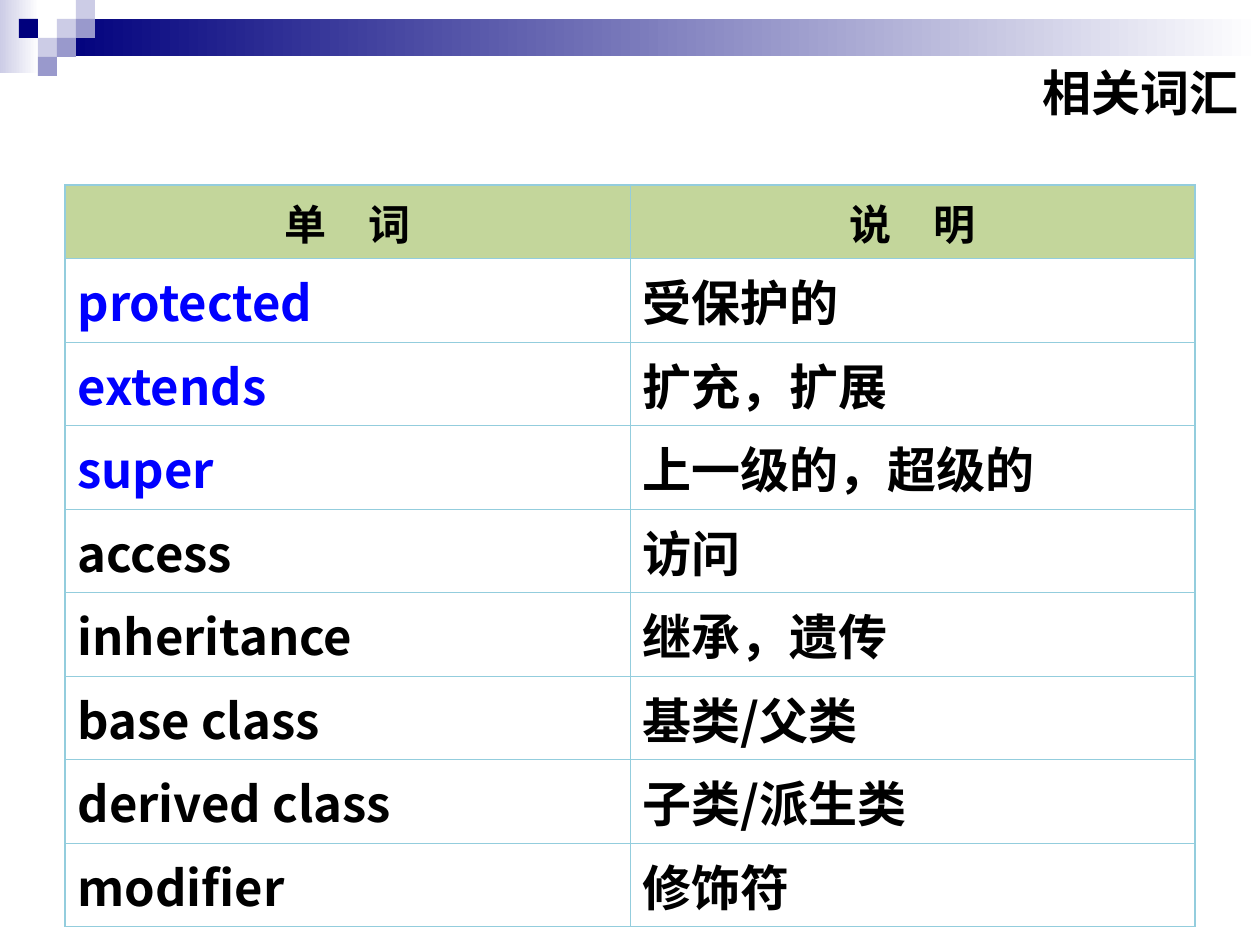
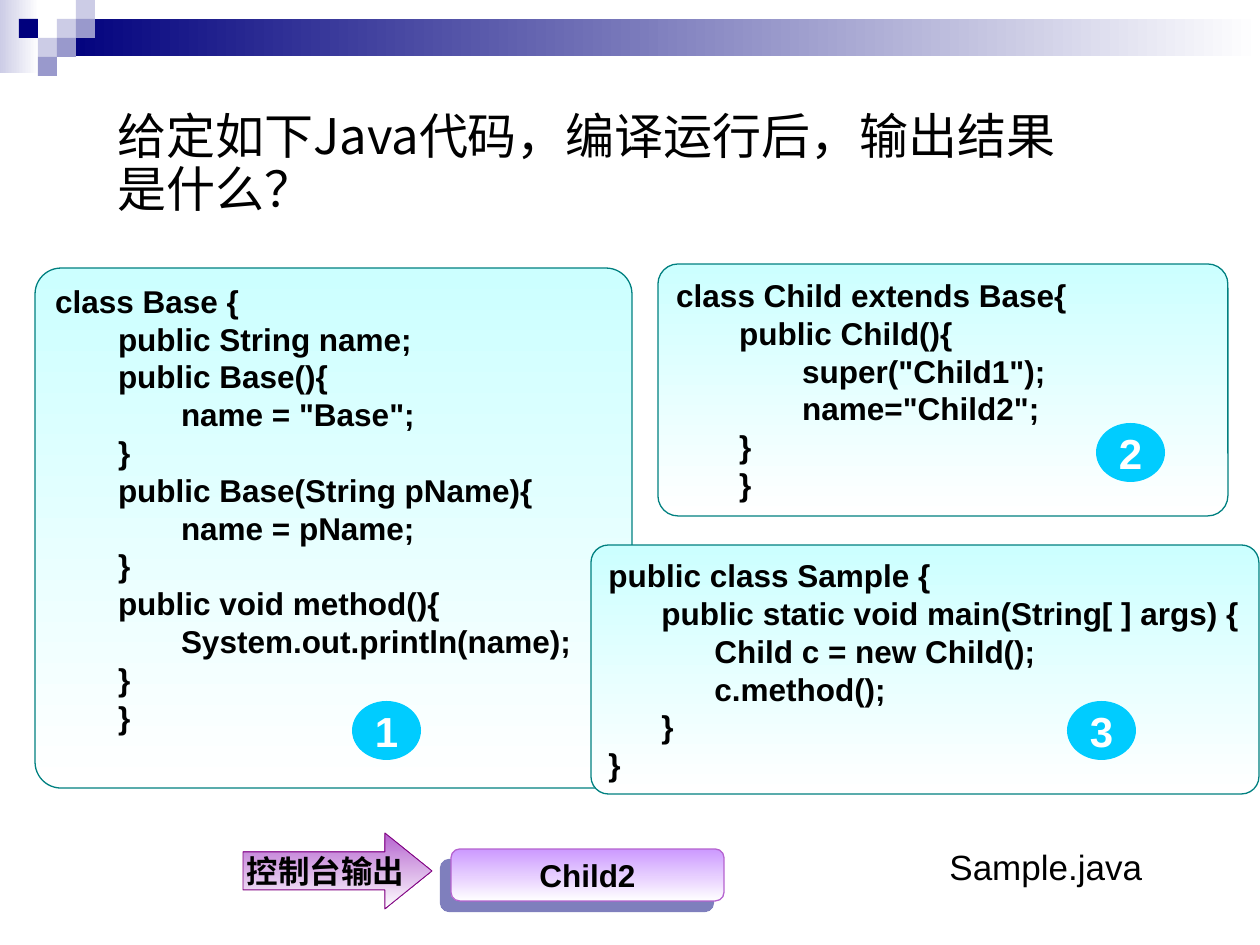
import lxml.etree
import pptx
import pptx.dml.color
import pptx.enum.shapes
import pptx.enum.text
import pptx.oxml.ns
import pptx.util

SCALE = 914400 / 126
SHAPE = pptx.enum.shapes.MSO_SHAPE
ANCHOR = pptx.enum.text.MSO_ANCHOR
ALIGN = pptx.enum.text.PP_ALIGN
LATIN = "Arial"
CHINESE = "Noto Sans CJK SC"
COLORS = {
    "navy": "00007D", "lilac": "9999CC", "mist": "CCCCE6", "white": "FFFFFF",
    "black": "000000", "keyword": "0000FF", "header": "C3D69B", "grid": "93CDDD",
    "code": "CCFFFF", "code_edge": "008080", "badge": "00CCFF",
    "output": "CC99FF", "orchid": "B563CF", "arrow_edge": "800080",
}

VOCABULARY = [
    ("单　词", "说　明"),
    ("protected", "受保护的"),
    ("extends", "扩充，扩展"),
    ("super", "上一级的，超级的"),
    ("access", "访问"),
    ("inheritance", "继承，遗传"),
    ("base class", "基类/父类"),
    ("derived class", "子类/派生类"),
    ("modifier", "修饰符"),
]
KEYWORDS = {"protected", "extends", "super"}

BASE_CODE = [
    (0, "class Base {"),
    (1, "public String name;"),
    (1, "public Base(){"),
    (2, 'name = "Base";'),
    (1, "}"),
    (1, "public Base(String pName){"),
    (2, "name = pName;"),
    (1, "}"),
    (1, "public void method(){"),
    (2, "System.out.println(name);"),
    (1, "}"),
    (1, "}"),
]
CHILD_CODE = [
    (0, "class Child extends Base{"),
    (1, "public Child(){"),
    (2, 'super("Child1");'),
    (2, 'name="Child2";'),
    (1, "}"),
    (1, "}"),
]
SAMPLE_CODE = [
    (0, "public class Sample {"),
    (1, "public static void main(String[ ] args) {"),
    (2, "Child c = new Child();"),
    (2, "c.method();"),
    (1, "}"),
    (0, "}"),
]


def px(length):
    """Turn px into EMU."""
    return pptx.util.Emu(round(length * SCALE))


def rgb(color):
    """Look up a named colour."""
    return pptx.dml.color.RGBColor.from_string(COLORS[color])


def add_xml(parent, tag, **attributes):
    """Append a drawing element to its parent."""
    attributes = {name: str(value) for name, value in attributes.items()}
    return lxml.etree.SubElement(parent, pptx.oxml.ns.qn(tag), attributes)


def style(paragraph, size, color="black", bold=True, font=LATIN, align=ALIGN.LEFT):
    """Format one paragraph, with the Chinese font for Chinese characters."""
    paragraph.alignment = align
    paragraph.font.size = pptx.util.Pt(size)
    paragraph.font.bold = bold
    paragraph.font.name = font
    paragraph.font.color.rgb = rgb(color)
    defaults = paragraph._p.pPr.find(pptx.oxml.ns.qn("a:defRPr"))
    add_xml(defaults, "a:ea", typeface=CHINESE)


def place(shape, box):
    """Move a placeholder into its box."""
    shape.left, shape.top, shape.width, shape.height = map(px, box)


def add_block(slide, kind, box, fill, fade_angle=None, edge=None, edge_width=0.75):
    """Add a preset shape, plain or fading to white."""
    block = slide.shapes.add_shape(kind, *map(px, box))
    block.shadow.inherit = False
    if fade_angle is None:
        block.fill.solid()
        block.fill.fore_color.rgb = rgb(fill)
    else:
        block.fill.gradient()
        block.fill.gradient_angle = fade_angle
        for stop, color in zip(block.fill.gradient_stops, (fill, "white")):
            stop.color.rgb = rgb(color)
    if edge:
        block.line.color.rgb = rgb(edge)
        block.line.width = pptx.util.Pt(edge_width)
    else:
        block.line.fill.background()
    return block


def label(shape, text, size, color="black", wrap=False):
    """Centre a bold label in a shape."""
    frame = shape.text_frame
    frame.word_wrap = wrap
    frame.vertical_anchor = ANCHOR.MIDDLE
    frame.text = text
    style(frame.paragraphs[0], size, color, align=ALIGN.CENTER)


def add_band(slide):
    """Draw the fading band and the mosaic of squares at the top."""
    add_block(slide, SHAPE.RECTANGLE, (0, 0, 39, 73), "mist", 0)
    add_block(slide, SHAPE.RECTANGLE, (57, 19, 1203, 37), "navy", 0)
    squares = [(3, 1, "mist"), (4, 0, "mist"), (4, 1, "lilac"), (2, 2, "mist"),
               (1, 1, "navy"), (3, 2, "lilac"), (2, 3, "lilac")]
    for column, row, color in squares:
        add_block(slide, SHAPE.RECTANGLE, (column * 19, row * 19, 19, 19), color)


def add_slide(deck, title, box, bold, align, anchor):
    """Add a slide with the shared band and a formatted title."""
    slide = deck.slides.add_slide(deck.slide_layouts[5])
    add_band(slide)
    heading = slide.shapes.title
    place(heading, box)
    heading.text_frame.text = title
    heading.text_frame.vertical_anchor = anchor
    style(heading.text_frame.paragraphs[0], 28, bold=bold, font=CHINESE, align=align)
    return slide


def add_borders(cell, outer_edges):
    """Line a cell, heavier on the outer edges of the table."""
    for side in "LRTB":
        width = pptx.util.Pt(0.96 if side in outer_edges else 0.45)
        line = add_xml(cell._tc.get_or_add_tcPr(), "a:ln" + side, w=int(width))
        add_xml(add_xml(line, "a:solidFill"), "a:srgbClr", val=COLORS["grid"])


def add_vocabulary(slide, box, header_height):
    """Fill a two-column word table."""
    left, top, width, height = box
    last = len(VOCABULARY) - 1
    table = slide.shapes.add_table(last + 1, 2, *map(px, box)).table
    table.first_row = table.horz_banding = False
    for column in table.columns:
        column.width = px(width / 2)
    for r, words in enumerate(VOCABULARY):
        is_header = r == 0
        table.rows[r].height = px(header_height if is_header else (height - header_height) / last)
        for c, word in enumerate(words):
            cell = table.cell(r, c)
            add_borders(cell, "LR"[c] + ("T" if is_header else "B" if r == last else ""))
            cell.vertical_anchor = ANCHOR.MIDDLE
            cell.text = word
            paragraph = cell.text_frame.paragraphs[0]
            if is_header:
                cell.fill.solid()
                cell.fill.fore_color.rgb = rgb("header")
                style(paragraph, 24, font=CHINESE, align=ALIGN.CENTER)
            else:
                cell.fill.background()
                style(paragraph, 28, "keyword" if word in KEYWORDS else "black", font=CHINESE)


def add_code(slide, box, code, rounding, indent, number, badge_offset):
    """Draw a code panel with its numbered badge."""
    panel = add_block(slide, SHAPE.ROUNDED_RECTANGLE, box, "code", 270, "code_edge")
    panel.adjustments[0] = rounding
    frame = panel.text_frame
    frame.word_wrap = True
    frame.vertical_anchor = ANCHOR.TOP
    frame.text = "\n".join(line for _, line in code)
    for paragraph, (depth, _) in zip(frame.paragraphs, code):
        style(paragraph, 18)
        paragraph._p.pPr.set("marL", str(px(depth * indent)))
    badge_box = (box[0] + badge_offset[0], box[1] + badge_offset[1], 69, 59)
    label(add_block(slide, SHAPE.OVAL, badge_box, "badge"), number, 24, "white")


def add_output(slide, box):
    """Show the console output: an arrow, the result and the file name."""
    left, top, width, height = box
    result = add_block(slide, SHAPE.ROUNDED_RECTANGLE, (left + 208, top + 16, 273, 52),
                       "output", 270, "orchid")
    label(result, "Child2", 18)
    effects = result._element.spPr.find(pptx.oxml.ns.qn("a:effectLst"))
    shadow = add_xml(effects, "a:outerShdw", dist=int(pptx.util.Pt(8.5)),
                     dir=135 * 60000, algn="ctr", rotWithShape=0)
    add_xml(add_xml(shadow, "a:srgbClr", val=COLORS["navy"]), "a:alpha", val=50000)

    arrow = add_block(slide, SHAPE.RIGHT_ARROW, (left, top, 189, height),
                      "orchid", 270, "arrow_edge", 0.5)
    arrow.adjustments[1] = 0.62
    frame = arrow.text_frame
    frame.margin_left = frame.margin_right = frame.margin_top = frame.margin_bottom = 0
    label(arrow, "控制台输出", 18, wrap=True)

    file_box = (left + width - 268, top + 6, 268, 55)
    file_name = slide.shapes.add_textbox(*map(px, file_box)).text_frame
    file_name.word_wrap = True
    file_name.text = "Sample.java"
    style(file_name.paragraphs[0], 20, bold=False)


def build_vocabulary_slide(deck):
    """Build the slide of related words."""
    slide = add_slide(deck, "相关词汇", (605, 57, 646, 69), True, ALIGN.RIGHT, ANCHOR.MIDDLE)
    add_vocabulary(slide, (65, 185, 1130, 741), 73)


def build_question_slide(deck):
    """Build the slide asking what the code prints."""
    slide = add_slide(deck, "给定如下Java代码，编译运行后，输出结果是什么？",
                      (105, 106, 983, 129), False, ALIGN.LEFT, ANCHOR.TOP)
    question = slide.shapes.title.text_frame.paragraphs[0]
    question.line_spacing = 0.9
    question.space_before = pptx.util.Pt(7)
    add_code(slide, (35, 268, 597, 520), BASE_CODE, 0.05, 63, "1", (317, 433))
    add_code(slide, (658, 264, 570, 252), CHILD_CODE, 0.08, 63, "2", (438, 159))
    add_code(slide, (591, 545, 668, 249), SAMPLE_CODE, 0.07, 53, "3", (476, 156))
    add_output(slide, (243, 833, 962, 76))


def main():
    """Build and save both slides."""
    deck = pptx.Presentation()
    deck.slide_width, deck.slide_height = px(1260), px(945)
    build_vocabulary_slide(deck)
    build_question_slide(deck)
    deck.save("out.pptx")


if __name__ == "__main__":
    main()
